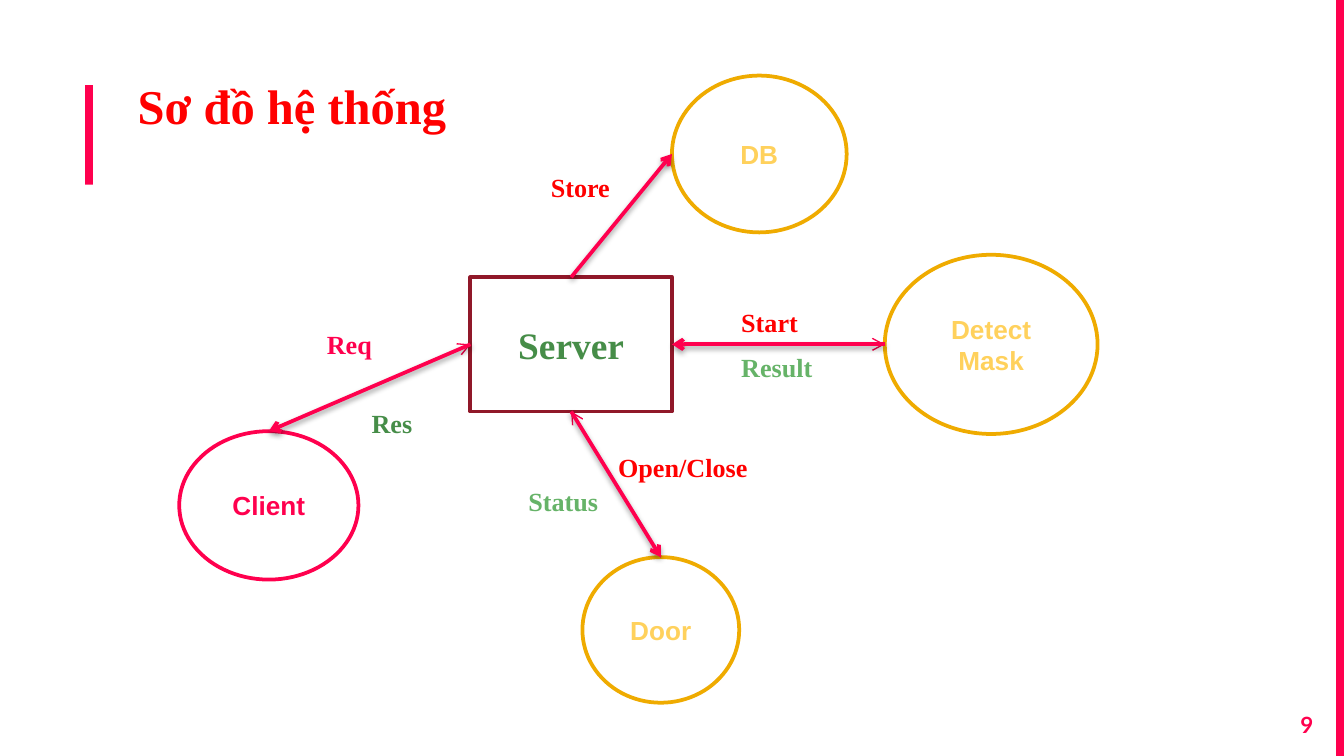
from lxml import etree
from pptx import Presentation, util as u
from pptx.dml import color
from pptx.enum import shapes, text
from pptx.oxml import ns

COLORS = {
    "pink": "FF004E", "rose": "F9004C", "red": "FF0000", "maroon": "901829",
    "green": "468D48", "mint": "66B368", "amber": "EFAB00", "yellow": "FFD15C",
    "white": "FFFFFF", "black": "000000",
}
COLUMNS, ROWS = 120, 67.5
SERIF = "Times New Roman"
OVAL, RECT = shapes.MSO_SHAPE.OVAL, shapes.MSO_SHAPE.RECTANGLE

NODES = {
    "Client": (OVAL, (16, 38.5, 16, 13.25), "pink", "pink"),
    "Server": (RECT, (42, 24.75, 18, 12), "maroon", "green"),
    "DB": (OVAL, (60, 6.75, 15.6, 14), "amber", "yellow"),
    "Door": (OVAL, (52, 49.75, 14, 13), "amber", "yellow"),
    "Detect Mask": (OVAL, (79, 22.75, 19, 16), "amber", "yellow"),
}
SIDES = {"top": (0.5, 0), "left": (0, 0.5), "bottom": (0.5, 1), "right": (1, 0.5)}
LINKS = [
    (("Server", "left"), ("Client", "top"), True),
    (("Server", "top"), ("DB", "left"), False),
    (("Detect Mask", "left"), ("Server", "right"), True),
    (("Server", "bottom"), ("Door", "top"), True),
]
LABELS = [
    ("Req", (28, 28.75, 6.5), "pink", False),
    ("Res", (32, 35.8, 6.1), "green", False),
    ("Store", (48, 14.75, 9.4), "red", True),
    ("Start", (65, 26.75, 8), "red", True),
    ("Result", (65, 30.75, 9.1), "mint", True),
    ("Open/Close", (54, 39.75, 14), "red", False),
    ("Status", (46, 42.75, 8.7), "mint", False),
]


def place(area, cell):
    left, top, width, height = area
    column, row, across, down = cell
    return (int(left + width * column / COLUMNS), int(top + height * row / ROWS),
            int(width * across / COLUMNS), int(height * down / ROWS))


def rgb(name):
    return color.RGBColor.from_string(COLORS[name])


def write(box, words, size=14, font=SERIF, ink="red", align="LEFT",
          anchor="TOP", wrap=True, inset=None):
    frame = box.text_frame
    frame.word_wrap = wrap
    frame.vertical_anchor = getattr(text.MSO_ANCHOR, anchor)
    if inset is not None:
        frame.margin_left = frame.margin_right = u.Inches(inset)
        frame.margin_top = frame.margin_bottom = u.Inches(inset)
    para = frame.paragraphs[0]
    para.alignment = getattr(text.PP_ALIGN, align)
    span = para.add_run()
    span.text = words
    span.font.size = u.Pt(size)
    span.font.name = font
    span.font.bold = True
    span.font.color.rgb = rgb(ink)


def add_outline(page, area, kind, cell, fill, line=None):
    box = page.shapes.add_shape(kind, *place(area, cell))
    box.shadow.inherit = False
    box.fill.solid()
    box.fill.fore_color.rgb = rgb(fill)
    if line:
        box.line.color.rgb = rgb(line)
        box.line.width = u.Pt(2)
    else:
        box.line.fill.background()
    return box


def add_arrow(page, start, end, ink, width, shadow):
    arrow = page.shapes.add_connector(shapes.MSO_CONNECTOR.STRAIGHT, *start, *end)
    arrow.line.color.rgb = rgb(ink)
    arrow.line.width = u.Pt(width)
    properties = arrow.element.spPr
    etree.SubElement(properties.get_or_add_ln(), ns.qn("a:tailEnd"), type="arrow")
    effects = etree.SubElement(properties, ns.qn("a:effectLst"))
    if shadow:
        cast = etree.SubElement(effects, ns.qn("a:outerShdw"), blurRad=str(u.Pt(3.1)),
                                dist=str(u.Pt(1.6)), dir="5400000", rotWithShape="0")
        tone = etree.SubElement(cast, ns.qn("a:srgbClr"), val=COLORS["black"])
        etree.SubElement(tone, ns.qn("a:alpha"), val="38000")


def side_point(area, name, side):
    left, top, width, height = place(area, NODES[name][1])
    across, down = SIDES[side]
    return int(left + width * across), int(top + height * down)


def draw_frame(page, area):
    for bar in ((7.6, 7.6, 0.7, 8.9), (119.3, 0, 0.7, ROWS)):
        add_outline(page, area, RECT, bar, "pink")
    title = page.shapes.add_textbox(*place(area, (11.1, 5.55, 42.4, 11.3)))
    write(title, "Sơ đồ hệ thống", size=26, inset=0.1)
    number = page.shapes.add_textbox(*place(area, (111.25, 62.3, 7.2, 5.2)))
    write(number, "9", size=12, font="Lato", ink="pink", align="RIGHT", inset=0.1)


def draw_diagram(page, area):
    for name, (kind, cell, line, ink) in NODES.items():
        node = add_outline(page, area, kind, cell, "white", line)
        size, font = (20, SERIF) if kind == RECT else (14, "Arial")
        write(node, name, size, font, ink, align="CENTER", anchor="MIDDLE")
    for origin, target, two_way in LINKS:
        start, end = side_point(area, *origin), side_point(area, *target)
        if two_way:
            add_arrow(page, end, start, "rose", 0.75, shadow=False)
        add_arrow(page, start, end, "pink", 2, shadow=True)
    for words, (column, row, across), ink, wrap in LABELS:
        label = page.shapes.add_textbox(*place(area, (column, row, across, 4.05)))
        write(label, words, ink=ink, wrap=wrap)
        label.text_frame.auto_size = text.MSO_AUTO_SIZE.SHAPE_TO_FIT_TEXT


deck = Presentation()
deck.slide_width, deck.slide_height = u.Inches(10), u.Emu(5143500)
page = deck.slides.add_slide(deck.slide_layouts[6])
area = (0, 0, deck.slide_width, deck.slide_height)
draw_frame(page, area)
draw_diagram(page, area)
deck.save("out.pptx")
